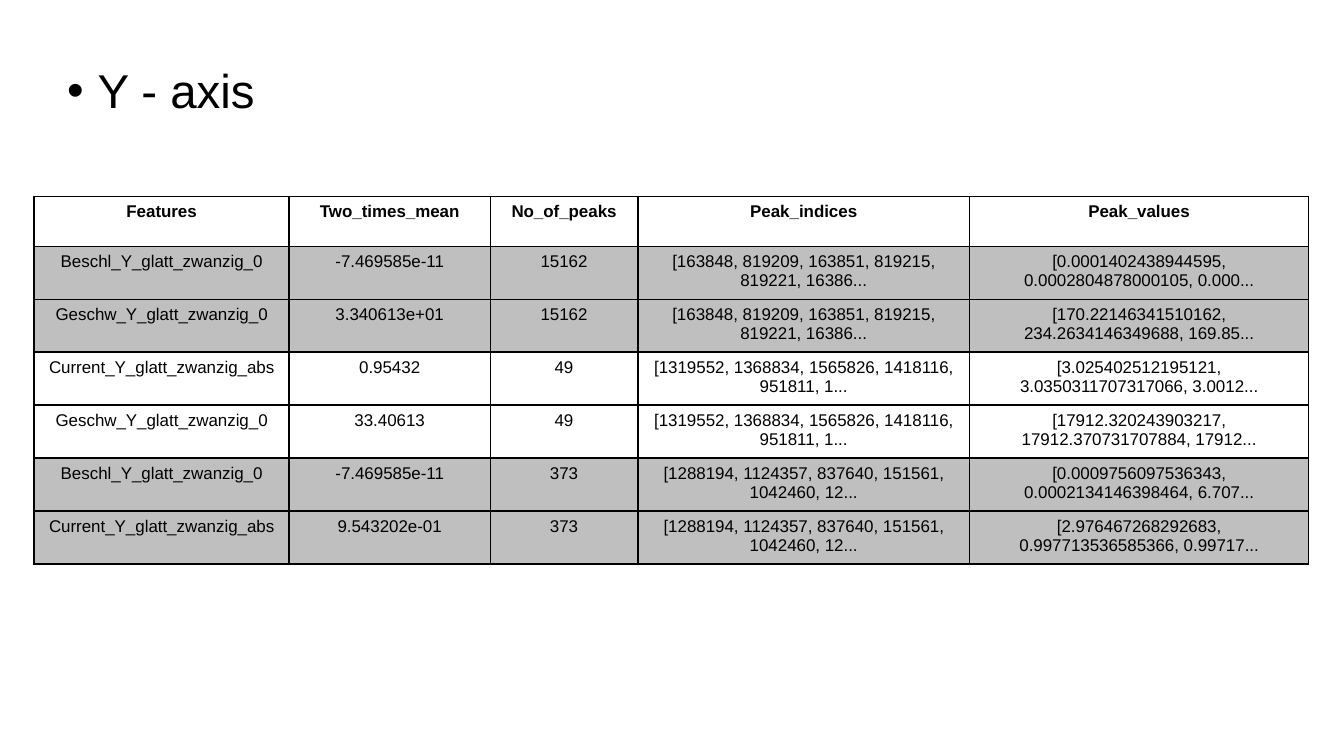
from lxml.etree import SubElement
from pptx import Presentation
from pptx.dml.color import RGBColor
from pptx.enum.text import PP_ALIGN
from pptx.oxml.ns import qn
from pptx.util import Inches, Pt

BLACK, WHITE, GREY = "000000", "FFFFFF", "BFBFBF"
COLUMN_WIDTHS = [2.09, 1.65, 1.21, 2.72, 2.78]
ROW_HEIGHT = 0.41
HEADER = ["Features", "Two_times_mean", "No_of_peaks", "Peak_indices", "Peak_values"]
ACCELERATION = "Beschl_Y_glatt_zwanzig_0"
SPEED = "Geschw_Y_glatt_zwanzig_0"
CURRENT = "Current_Y_glatt_zwanzig_abs"
GROUPS = [
    (GREY, "15162", "[163848, 819209, 163851, 819215, 819221, 16386...", [
        (ACCELERATION, "-7.469585e-11", "[0.0001402438944595, 0.0002804878000105, 0.000..."),
        (SPEED, "3.340613e+01", "[170.22146341510162, 234.2634146349688, 169.85..."),
    ]),
    (WHITE, "49", "[1319552, 1368834, 1565826, 1418116, 951811, 1...", [
        (CURRENT, "0.95432", "[3.025402512195121, 3.0350311707317066, 3.0012..."),
        (SPEED, "33.40613", "[17912.320243903217, 17912.370731707884, 17912..."),
    ]),
    (GREY, "373", "[1288194, 1124357, 837640, 151561, 1042460, 12...", [
        (ACCELERATION, "-7.469585e-11", "[0.0009756097536343, 0.0002134146398464, 6.707..."),
        (CURRENT, "9.543202e-01", "[2.976467268292683, 0.997713536585366, 0.99717..."),
    ]),
]


def color(value):
    """Turn a hex string into a colour."""
    return RGBColor.from_string(value)


def write(paragraph, text, **formats):
    """Add a black Arial run with the given font values."""
    run = paragraph.add_run()
    run.text = text
    for name, value in {"name": "Arial", **formats}.items():
        setattr(run.font, name, value)
    run.font.color.rgb = color(BLACK)


def add_heading(slide, left, top, width, height, text):
    """Place the bulleted heading in its box."""
    frame = slide.shapes.add_textbox(
        Inches(left), Inches(top), Inches(width), Inches(height)).text_frame
    frame.word_wrap = True
    for side in ("left", "top", "right", "bottom"):
        setattr(frame, f"margin_{side}", 0)
    paragraph = frame.paragraphs[0]
    for name, value in {"line_spacing": 0.9, "space_before": Pt(10)}.items():
        setattr(paragraph, name, value)
    write(paragraph, text, size=Pt(28))
    properties = paragraph._p.get_or_add_pPr()
    properties.set("marL", str(Inches(0.25)))
    properties.set("indent", str(Inches(-0.25)))
    SubElement(properties, qn("a:buFont"), typeface="Arial")
    SubElement(properties, qn("a:buChar"), char="•")


def add_borders(cell):
    """Draw a thin black line on each side of a cell."""
    properties = cell._tc.get_or_add_tcPr()
    for side in ("lnL", "lnR", "lnT", "lnB"):
        line = SubElement(properties, qn(f"a:{side}"), w=str(Pt(1)))
        fill = SubElement(line, qn("a:solidFill"))
        SubElement(fill, qn("a:srgbClr"), val=BLACK)


def fill_cell(cell, text, background, bold):
    """Format one cell and write its centred text."""
    add_borders(cell)
    cell.fill.solid()
    cell.fill.fore_color.rgb = color(background)
    paragraph = cell.text_frame.paragraphs[0]
    paragraph.alignment = PP_ALIGN.CENTER
    write(paragraph, text, size=Pt(10), bold=bold)


def add_peak_table(slide, left, top):
    """Place the table of peaks with its top left corner at the given point."""
    rows = [(WHITE, HEADER)]
    for background, count, indices, features in GROUPS:
        for feature, mean, values in features:
            rows.append((background, [feature, mean, count, indices, values]))
    table = slide.shapes.add_table(
        len(rows), len(COLUMN_WIDTHS), Inches(left), Inches(top),
        Inches(sum(COLUMN_WIDTHS)), Inches(ROW_HEIGHT * len(rows))).table
    for column, width in zip(table.columns, COLUMN_WIDTHS):
        column.width = Inches(width)
    for index, (background, texts) in enumerate(rows):
        table.rows[index].height = Inches(ROW_HEIGHT)
        for cell, text in zip(table.rows[index].cells, texts):
            fill_cell(cell, text, background, index == 0)


def main():
    """Build and save the presentation."""
    presentation = Presentation()
    presentation.slide_width = Inches(11.02)
    presentation.slide_height = Inches(6.2)
    slide = presentation.slides.add_slide(presentation.slide_layouts[6])
    add_heading(slide, 0.55, 0.55, 9.92, 0.86, "Y - axis")
    add_peak_table(slide, 0.28, 1.61)
    presentation.save("out.pptx")


if __name__ == "__main__":
    main()
